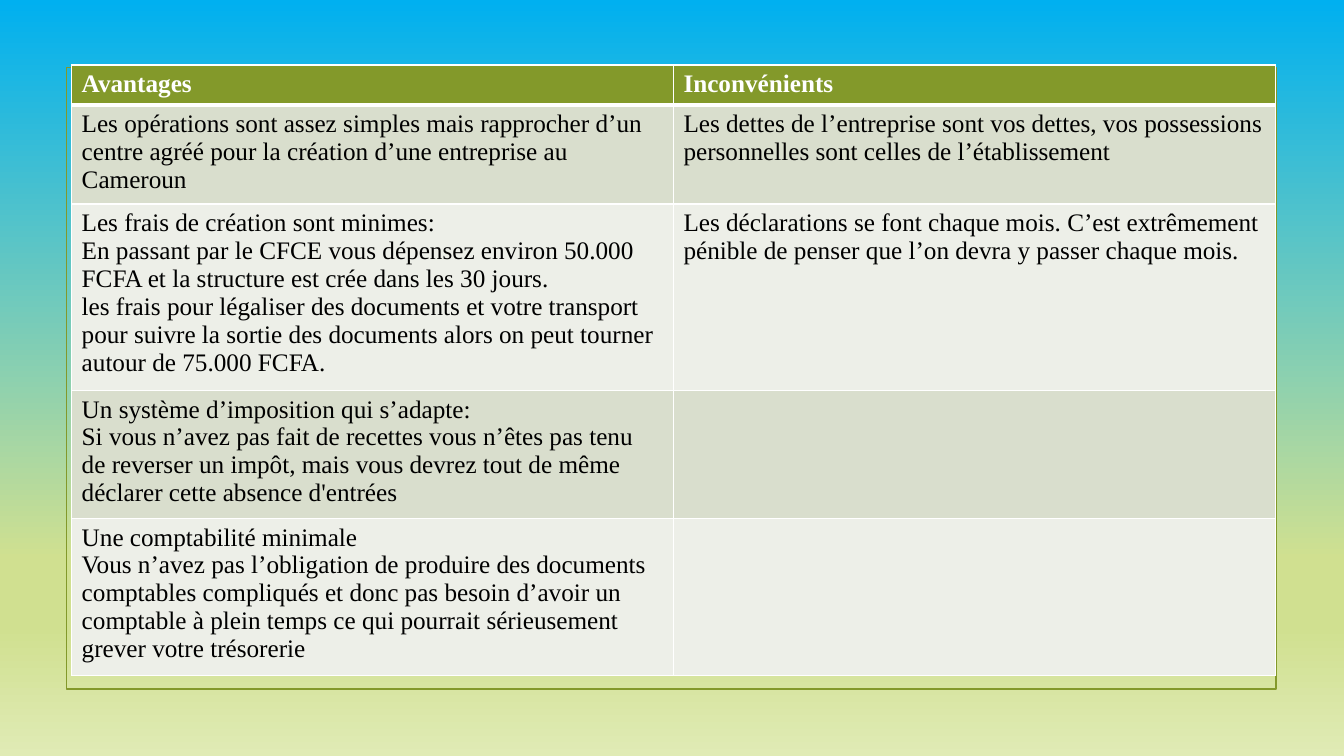
from lxml.etree import SubElement
from pptx import Presentation
from pptx.dml.color import RGBColor
from pptx.enum.shapes import MSO_SHAPE
from pptx.oxml.ns import qn
from pptx.util import Inches, Pt

HEADINGS = ["Avantages", "Inconvénients"]
COMPARISON = [
    ["Les opérations sont assez simples mais rapprocher d’un centre agréé pour la création "
     "d’une entreprise au Cameroun",
     "Les dettes de l’entreprise sont vos dettes, vos possessions personnelles sont celles "
     "de l’établissement"],
    ["Les frais de création sont minimes:\n"
     "En passant par le CFCE vous dépensez environ 50.000 FCFA et la structure est crée "
     "dans les 30 jours.\n"
     "les frais pour légaliser des documents et votre transport pour suivre la sortie des "
     "documents alors on peut tourner autour de 75.000 FCFA.",
     "Les déclarations se font chaque mois. C’est extrêmement pénible de penser que l’on "
     "devra y passer chaque mois."],
    ["Un système d’imposition qui s’adapte:\n"
     "Si vous n’avez pas fait de recettes vous n’êtes pas tenu de reverser un impôt, mais "
     "vous devrez tout de même déclarer cette absence d'entrées",
     ""],
    ["Une comptabilité minimale\n"
     "Vous n’avez pas l’obligation de produire des documents comptables compliqués et donc "
     "pas besoin d’avoir un comptable à plein temps ce qui pourrait sérieusement grever "
     "votre trésorerie",
     ""],
]
ROW_SHARES = [5.33, 13.07, 24.67, 16.93, 20.8]


def color(value):
    return RGBColor.from_string(value)


class SlideBuilder:
    font = "Times New Roman"
    size = 18
    accent = "83992A"
    bands = ["D9DECD", "EDEFE8"]
    white = "FFFFFF"
    black = "000000"

    def __init__(self, presentation):
        self.width = presentation.slide_width
        self.height = presentation.slide_height
        self.slide = presentation.slides.add_slide(presentation.slide_layouts[6])

    def across(self, percent):
        return round(self.width * percent / 100)

    def down(self, percent):
        return round(self.height * percent / 100)

    def background(self, stops):
        fill = self.slide.background.fill
        fill.gradient()
        fill.gradient_angle = 270
        stop_list = self.slide.element.find(".//" + qn("a:gsLst"))
        for stop in list(stop_list):
            stop_list.remove(stop)
        for position, value in stops:
            stop = SubElement(stop_list, qn("a:gs"), pos=str(position * 1000))
            SubElement(stop, qn("a:srgbClr"), val=value)

    def frame(self, left, top, width, height):
        shape = self.slide.shapes.add_shape(
            MSO_SHAPE.RECTANGLE, self.across(left), self.down(top),
            self.across(width), self.down(height))
        shape.shadow.inherit = False
        shape.fill.background()
        shape.line.color.rgb = color(self.accent)
        shape.line.width = Pt(1.25)

    def borders(self, cell, widths):
        properties = cell._tc.get_or_add_tcPr()
        for side, width in zip("LRTB", widths):
            line = SubElement(properties, qn("a:ln" + side), w=str(Pt(width)))
            fill = SubElement(line, qn("a:solidFill"))
            SubElement(fill, qn("a:srgbClr"), val=self.white)

    def cell(self, cell, text, row):
        header = row == 0
        self.borders(cell, [1, 1, 3 if row == 1 else 1, 3 if header else 1])
        cell.fill.solid()
        cell.fill.fore_color.rgb = color(self.accent if header else self.bands[(row - 1) % 2])
        cell.text_frame.text = text
        for paragraph in cell.text_frame.paragraphs:
            paragraph.font.size = Pt(self.size)
            for run in paragraph.runs:
                run.font.name = self.font
                run.font.size = Pt(self.size)
                run.font.bold = header
                run.font.color.rgb = color(self.white if header else self.black)

    def table(self, left, top, width, row_shares, content):
        table = self.slide.shapes.add_table(
            len(content), len(content[0]), self.across(left), self.down(top),
            self.across(width), self.down(sum(row_shares))).table
        table.horz_banding = False
        for column in table.columns:
            column.width = self.across(width / len(content[0]))
        for row, (share, texts) in enumerate(zip(row_shares, content)):
            table.rows[row].height = self.down(share)
            for column, text in enumerate(texts):
                self.cell(table.cell(row, column), text, row)


def main():
    presentation = Presentation()
    presentation.slide_width = Inches(13.33)
    presentation.slide_height = Inches(7.5)
    builder = SlideBuilder(presentation)
    builder.background([(0, "00B0F0"), (74, "D0E090"), (83, "D0E090"), (100, "E0EBB5")])
    builder.frame(4.95, 8.93, 90, 82.27)
    builder.table(5.33, 8.6, 89.55, ROW_SHARES, [HEADINGS] + COMPARISON)
    presentation.save("out.pptx")


if __name__ == "__main__":
    main()
